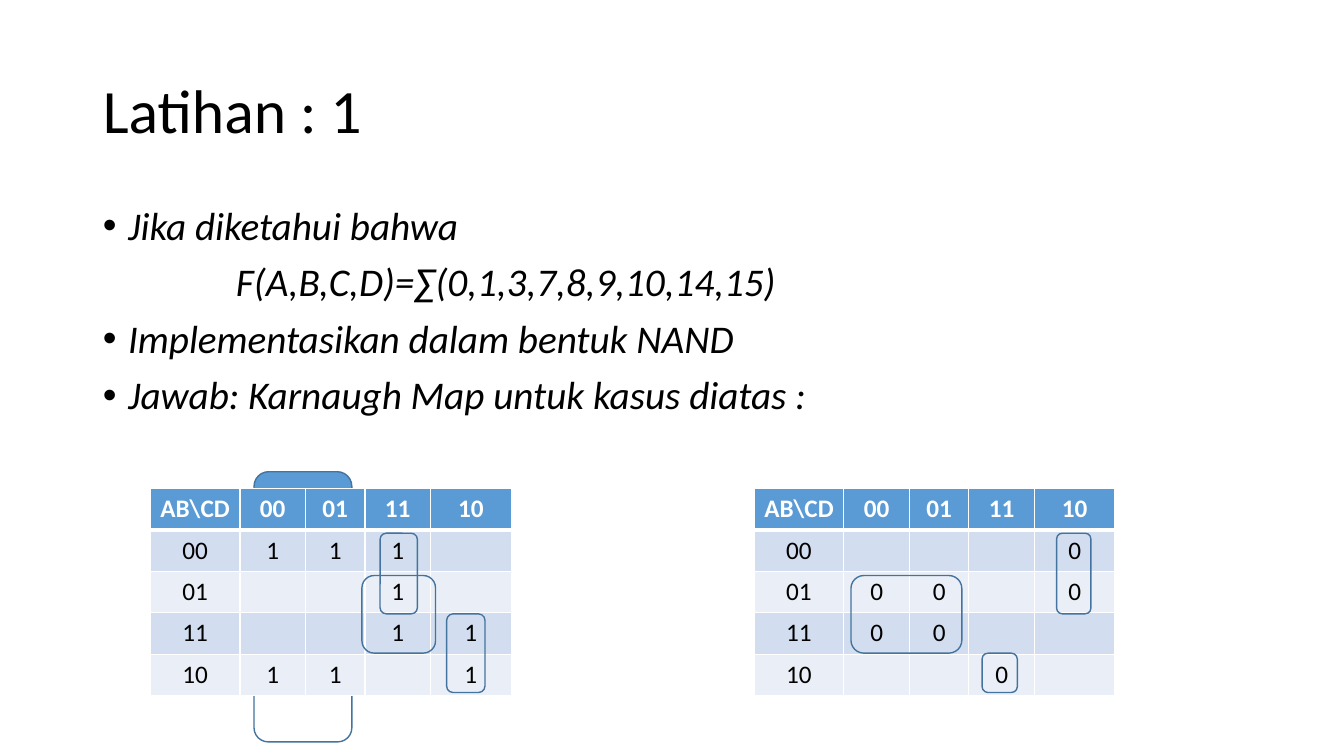
from lxml.etree import SubElement
from pptx import Presentation
from pptx.dml.color import RGBColor
from pptx.enum.shapes import MSO_SHAPE
from pptx.enum.text import MSO_ANCHOR, MSO_AUTO_SIZE, PP_ALIGN
from pptx.oxml.ns import qn
from pptx.util import Pt

PX = 9144  # 100 px to the inch
FONT = "Calibri"
BLACK = RGBColor(0, 0, 0)
WHITE = RGBColor(255, 255, 255)
BLUE = RGBColor(0x5B, 0x9B, 0xD5)
EDGE = RGBColor(0x43, 0x73, 0x9E)
BANDS = [RGBColor(0xD2, 0xDE, 0xEF), RGBColor(0xEA, 0xEF, 0xF7)]

# Content
TITLE = "Latihan : 1"
LINES = [  # text, bulleted
    ("Jika diketahui bahwa ", True),
    ("F(A,B,C,D)=∑(0,1,3,7,8,9,10,14,15)", False),
    ("Implementasikan dalam bentuk NAND", True),
    ("Jawab: Karnaugh Map untuk kasus diatas :", True),
]
CODES = ["00", "01", "11", "10"]
ONES = ["111 ", "  1 ", "  11", "11 1"]
ZEROS = ["   0", "00 0", "00  ", "  0 "]

# Layout in px
TITLE_BOX = (92, 40, 1150, 145)
BODY_BOX = (92, 200, 1150, 476)
HANG, INSET = 25, 132
TOP, ROW = 485, 41
COLS = [89, 65, 59, 65, 80]
BACK_LOOPS = [((252, 652, 97, 84), None), ((252, 468, 97, 87), BLUE)]
MAPS = [  # left, values, loops
    (149, ONES, [(443, 609, 38, 78), (377, 529, 37, 80), (359, 571, 73, 77)]),
    (748, ZEROS, [(844, 571, 110, 77), (1048, 529, 34, 80), (974, 648, 35, 39)]),
]


def emu(box):
    return [n * PX for n in box]


def place(shape, box):
    shape.left, shape.top, shape.width, shape.height = emu(box)


def write(para, text, size, color, bold=False, italic=False):
    run = para.add_run()
    run.text = text
    font = run.font
    font.name, font.size, font.bold, font.italic = FONT, Pt(size), bold, italic
    font.color.rgb = color


def add_loop(box, fill=None):
    loop = slide.shapes.add_shape(MSO_SHAPE.ROUNDED_RECTANGLE, *emu(box))
    loop.shadow.inherit = False
    loop.line.color.rgb = EDGE
    loop.line.width = Pt(1)
    if fill is None:
        loop.fill.background()
    else:
        loop.fill.solid()
        loop.fill.fore_color.rgb = fill


def style_cell(cell, fill, edges):
    props = cell._tc.get_or_add_tcPr()
    for side, width in edges.items():
        line = SubElement(props, qn("a:ln" + side), w=str(Pt(width)))
        paint = SubElement(line, qn("a:solidFill"))
        SubElement(paint, qn("a:srgbClr"), val=str(WHITE))
    cell.fill.solid()
    cell.fill.fore_color.rgb = fill


def add_map(left, values):
    rows = [["AB\\CD", *CODES]] + [[c, *v] for c, v in zip(CODES, values)]
    box = emu((left, TOP, sum(COLS), ROW * len(rows)))
    table = slide.shapes.add_table(len(rows), len(COLS), *box).table
    for col, width in zip(table.columns, COLS):
        col.width = width * PX
    for r, row in enumerate(rows):
        table.rows[r].height = ROW * PX
        head = r == 0
        fill = BLUE if head else BANDS[(r - 1) % 2]
        edges = {"L": 1, "R": 1, "T": 3 if r == 1 else 1, "B": 3 if head else 1}
        for c, text in enumerate(row):
            cell = table.cell(r, c)
            style_cell(cell, fill, edges)
            para = cell.text_frame.paragraphs[0]
            para.alignment = PP_ALIGN.LEFT if head and c == 0 else PP_ALIGN.CENTER
            para.font.size = Pt(18)
            if text.strip():
                write(para, text, 18, WHITE if head else BLACK, bold=head)


deck = Presentation()
deck.slide_width, deck.slide_height = emu((1333, 750))
slide = deck.slides.add_slide(deck.slide_layouts[1])

# Title
title = slide.shapes.title
place(title, TITLE_BOX)
title.text_frame.vertical_anchor = MSO_ANCHOR.MIDDLE
para = title.text_frame.paragraphs[0]
para.alignment = PP_ALIGN.LEFT
para.line_spacing = 0.9
write(para, TITLE, 44, BLACK)

# Body list
body = slide.placeholders[1]
place(body, BODY_BOX)
frame = body.text_frame
frame.auto_size = MSO_AUTO_SIZE.NONE
for i, (text, dot) in enumerate(LINES):
    para = frame.add_paragraph() if i else frame.paragraphs[0]
    para.alignment = PP_ALIGN.JUSTIFY
    para.line_spacing = 0.9
    para.space_before = Pt(10)
    props = para._p.get_or_add_pPr()
    props.set("marL", str((HANG if dot else INSET) * PX))
    props.set("indent", str(-HANG * PX if dot else 0))
    if not dot:
        SubElement(props, qn("a:buNone"))
    write(para, text, 28, BLACK, italic=True)

# Loops behind the first map
for box, fill in BACK_LOOPS:
    add_loop(box, fill)

# Karnaugh maps with their loops
for left, values, loops in MAPS:
    add_map(left, values)
    for box in loops:
        add_loop(box)

deck.save("out.pptx")
